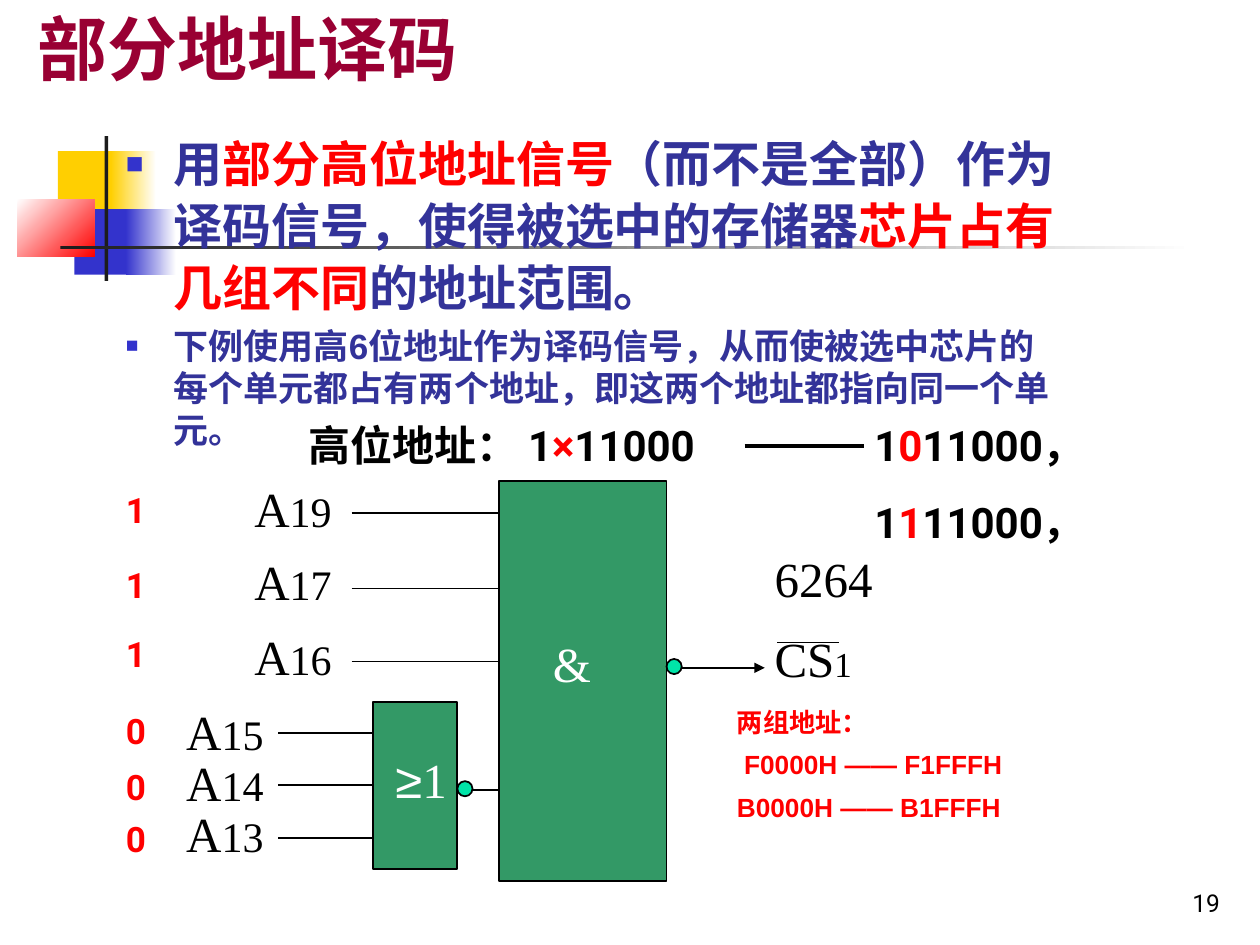
from lxml import etree
from pptx import Presentation
from pptx import util as u
from pptx.dml.color import RGBColor
from pptx.enum import shapes, text
from pptx.oxml.ns import qn

BLACK, WHITE, RED = "000000", "FFFFFF", "FF0000"
YELLOW, BLUE, INK, DARK = "FFCF01", "3333CC", "333399", "1C1C1C"
GREEN, MINT = "339966", "00E4A8"
SERIF, SANS, DIGIT = "Times New Roman", "Arial", "Roboto"
I = u.Inches


def rgb(color):
    return RGBColor.from_string(color)


def write(p, runs, font, bold=False):
    for words, size, color in runs:
        r = p.add_run()
        r.text = words
        r.font.size = u.Pt(size)
        r.font.name = font
        r.font.bold = bold
        r.font.color.rgb = rgb(color)


def add_text(s, box, paragraphs, font, bold=False, before=0):
    sp = s.shapes.add_textbox(*map(I, box))
    tf = sp.text_frame
    tf.word_wrap = True
    for i, runs in enumerate(paragraphs):
        p = tf.add_paragraph() if i else tf.paragraphs[0]
        if i:
            p.space_before = u.Pt(before)
        write(p, runs, font, bold)
    return tf


def add_shape(s, box, fill, end=None, angle=0, line=None, kind=shapes.MSO_SHAPE.RECTANGLE):
    sp = s.shapes.add_shape(kind, *map(I, box))
    sp.shadow.inherit = False
    if end:
        sp.fill.gradient()
        sp.fill.gradient_angle = angle
        for stop, color, position in zip(sp.fill.gradient_stops, (fill, end), (0, 1)):
            stop.color.rgb = rgb(color)
            stop.position = position
    else:
        sp.fill.solid()
        sp.fill.fore_color.rgb = rgb(fill)
    if line:
        sp.line.color.rgb = rgb(line)
        sp.line.width = u.Pt(1)
    else:
        sp.line.fill.background()


def add_line(s, x1, x2, y, width=1, arrow=False):
    c = s.shapes.add_connector(shapes.MSO_CONNECTOR.STRAIGHT, I(x1), I(y), I(x2), I(y))
    c.line.color.rgb = rgb(BLACK)
    c.line.width = u.Pt(width)
    if arrow:
        etree.SubElement(c.line._get_or_add_ln(), qn("a:tailEnd"), type="triangle")
    etree.SubElement(c._element.spPr, qn("a:effectLst"))


def add_bullet(p):
    pPr = p._p.get_or_add_pPr()
    pPr.set("marL", str(I(0.38)))
    pPr.set("indent", str(-I(0.38)))
    clr = etree.SubElement(pPr, qn("a:buClr"))
    etree.SubElement(clr, qn("a:srgbClr"), val=BLUE)
    etree.SubElement(pPr, qn("a:buSzPct"), val="60000")
    etree.SubElement(pPr, qn("a:buFont"), typeface=SANS)
    etree.SubElement(pPr, qn("a:buChar"), char="■")


def add_ornament(s, x, y):
    add_shape(s, (x + 0.32, y + 0.12, 0.48, 0.52), YELLOW)
    add_shape(s, (x + 0.74, y + 0.12, 0.36, 0.52), YELLOW, WHITE)
    add_shape(s, (x + 0.45, y + 0.58, 0.46, 0.52), BLUE)
    add_shape(s, (x + 0.86, y + 0.58, 0.4, 0.52), BLUE, WHITE)
    add_shape(s, (x, y + 0.5, 0.61, 0.46), WHITE, RED, 315)
    add_shape(s, (x + 0.69, y, 0.03, 1.15), DARK)
    add_shape(s, (x + 0.34, y + 0.87, 9, 0.03), DARK, WHITE)


def add_title(s, box, words):
    sp = s.shapes.title
    sp.left, sp.top, sp.width, sp.height = map(I, box)
    tf = sp.text_frame
    tf.auto_size = text.MSO_AUTO_SIZE.NONE
    tf.vertical_anchor = text.MSO_ANCHOR.BOTTOM
    p = tf.paragraphs[0]
    p.alignment = text.PP_ALIGN.LEFT
    write(p, [(words, 40, "990033")], SANS, True)


def add_body(s, box):
    tf = add_text(s, box, [
        [("用", 28, INK), ("部分高位地址信号", 28, RED),
         ("（而不是全部）作为译码信号，使得被选中的存储器", 28, INK),
         ("芯片占有几组不同", 28, RED), ("的地址范围。", 28, INK)],
        [("下例使用高6位地址作为译码信号，从而使被选中芯片的每个单元都占有两个地址，"
          "即这两个地址都指向同一个单元。", 20, INK)],
    ], SANS, True, 1.2)
    for p, after in zip(tf.paragraphs, (3.5, 2.5)):
        p.space_after = u.Pt(after)
        add_bullet(p)
    tf.paragraphs[0].line_spacing = 1.05


def add_inputs(s, names, bits, label_x, wire_x, gate_x, label_ys, wire_ys, bit_ys):
    for name, bit, label_y, wire_y, bit_y in zip(names, bits, label_ys, wire_ys, bit_ys):
        add_line(s, wire_x, gate_x, wire_y)
        add_text(s, (label_x, label_y, 1, 0.57),
                 [[("A", 28, BLACK), (name, 24, BLACK)]], SERIF)
        add_text(s, (0.9, bit_y, 0.39, 0.44), [[(bit, 20, RED)]], DIGIT, True)


def add_gate(s, box, sign, sign_at, font, output_y):
    x, y, w, h = box
    add_shape(s, box, GREEN, line=BLACK)
    tf = add_text(s, (*sign_at, 0.75, 0.57), [[(c, 28, WHITE) for c in sign]], SERIF)
    tf.paragraphs[0].runs[0].font.name = font
    add_shape(s, (x + w, output_y - 0.06, 0.12, 0.12), MINT, line=BLACK,
              kind=shapes.MSO_SHAPE.OVAL)


def add_circuit(s):
    add_inputs(s, ("19", "17", "16"), "111", 1.92, 2.79, 3.96,
               (3.75, 4.33, 4.92), (4.07, 4.67, 5.25), (3.83, 4.42, 4.97))
    add_inputs(s, ("15", "14", "13"), "000", 1.38, 2.21, 2.96,
               (5.52, 5.92, 6.33), (5.82, 6.23, 6.65), (5.58, 6.03, 6.44))
    add_gate(s, (3.96, 3.82, 1.33, 3.17), "&", (4.29, 4.98), SERIF, 5.29)
    add_gate(s, (2.96, 5.57, 0.67, 1.33), "≥1", (3.04, 5.9), SANS, 6.26)
    add_line(s, 3.75, 3.97, 6.27)
    add_line(s, 5.41, 6.07, 5.3, arrow=True)
    add_text(s, (6.05, 4.3, 1, 1.21),
             [[("6264", 28, BLACK)], [("CS", 28, BLACK), ("1", 20, BLACK)]], SERIF, before=12.5)
    add_line(s, 6.17, 6.66, 5.1)


def add_addresses(s):
    add_text(s, (2.35, 3.28, 3.7, 0.63),
             [[("高位地址： 1", 24, BLACK), ("×", 24, RED), ("11000", 24, BLACK)]], DIGIT, True)
    add_line(s, 5.91, 6.86, 3.54, 1.75)
    add_text(s, (6.84, 3.28, 2.05, 1.72),
             [[("1", 24, BLACK), (bit, 24, RED), ("11000，", 24, BLACK)] for bit in "01"],
             DIGIT, True, 15)
    add_text(s, (5.75, 5.56, 4, 1.02),
             [[(words, 15, RED)] for words in
              ("两组地址：", " F0000H —— F1FFFH", "B0000H —— B1FFFH")], SANS, True, 6)


def add_number(s, box, number):
    tf = add_text(s, box, [[(number, 14, BLACK)]], DIGIT)
    tf.vertical_anchor = text.MSO_ANCHOR.BOTTOM
    tf.paragraphs[0].alignment = text.PP_ALIGN.RIGHT


def main():
    prs = Presentation()
    prs.slide_width, prs.slide_height = I(10), I(7.5)
    s = prs.slides.add_slide(prs.slide_layouts[5])
    add_ornament(s, 0.14, 1.08)
    add_title(s, (0.2, 0, 8.52, 0.76), "部分地址译码")
    add_body(s, (0.9, 0.99, 7.64, 4.5))
    add_circuit(s)
    add_addresses(s)
    add_number(s, (7.7, 6.83, 2.08, 0.5), "19")
    prs.save("out.pptx")


if __name__ == "__main__":
    main()
